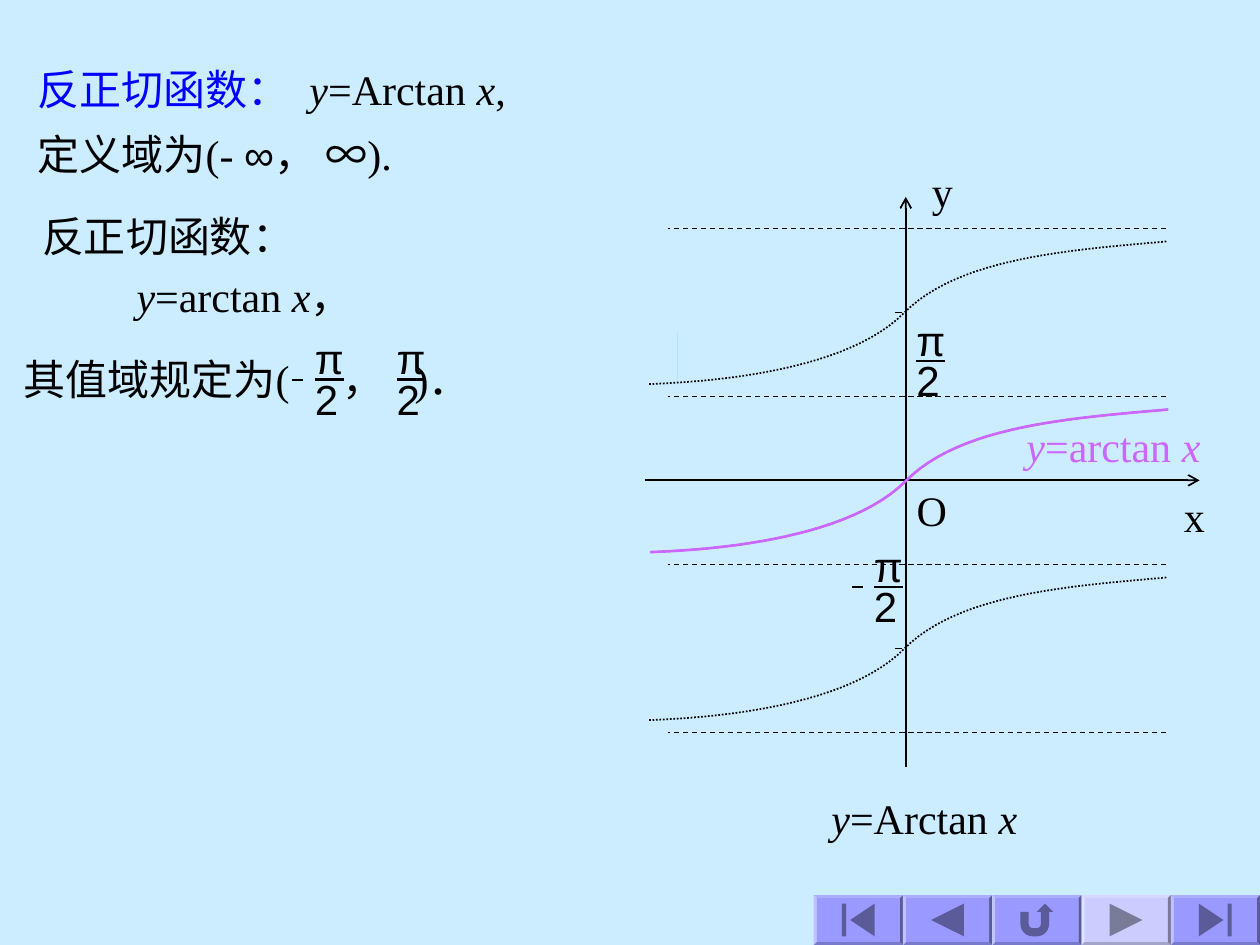
from dataclasses import dataclass

from lxml import etree
from pptx import Presentation
from pptx import util as u
from pptx.dml.color import RGBColor
from pptx.enum import dml, shapes, text
from pptx.oxml import ns


@dataclass(frozen=True)
class Theme:
    back: str = "CCECFF"
    ink: str = "000000"
    head: str = "0000FF"
    main: str = "CC66FF"
    mark: str = "99CCFF"
    key: str = "9999FF"
    dim: str = "CCCCFF"
    size: int = 24
    serif: str = "Times New Roman"
    sans: str = "Arial"


T = Theme()
MID_X, MID_Y, HALF = 517.6, 274.5, 48  # origin of the axes, height of pi/2
BEND = [[(667.5, 234), (610.5, 239), (548.5, 243.5), (517.5, 275)],
        [(517.5, 275), (486, 306.5), (415.5, 314), (371.5, 315.5)]]


def rgb(code):
    return RGBColor.from_string(code)


def run(words, ital=False, font=T.serif, color=T.ink, under=False, track=0):
    return words, ital, font, color, under, track


def gap(track):
    """One space, widened by letter spacing in points."""
    return run(" ", track=track)


def maths(name, color=T.ink):
    """Runs for y=name x with italic variables."""
    return [run("y", True, color=color), run(f"={name} ", color=color),
            run("x", True, color=color)]


def para(runs, lead=1.0, left=0):
    return runs, lead, left


def label(slide, x, y, w, h, paras, side=7.2, edge=3.6):
    box = slide.shapes.add_textbox(u.Pt(x), u.Pt(y), u.Pt(w), u.Pt(h))
    frame = box.text_frame
    frame.word_wrap = True
    frame.auto_size = text.MSO_AUTO_SIZE.SHAPE_TO_FIT_TEXT
    frame.margin_left = frame.margin_right = u.Pt(side)
    frame.margin_top = frame.margin_bottom = u.Pt(edge)
    for i, (runs, lead, left) in enumerate(paras):
        p = frame.add_paragraph() if i else frame.paragraphs[0]
        props = p._p.get_or_add_pPr()
        props.set("marL", str(u.Pt(left)))
        props.set("indent", "0")
        p.line_spacing = lead
        for words, ital, font, color, under, track in runs:
            r = p.add_run()
            r.text = words
            r.font.size = u.Pt(T.size)
            r.font.name = font
            r.font.italic = ital
            r.font.underline = under
            r.font.color.rgb = rgb(color)
            if track:
                r._r.get_or_add_rPr().set("spc", str(track * 100))


def line(slide, x1, y1, x2, y2, width=0.75, dash=None, arrow=False):
    bar = slide.shapes.add_connector(
        shapes.MSO_CONNECTOR.STRAIGHT, u.Pt(x1), u.Pt(y1), u.Pt(x2), u.Pt(y2))
    bar.line.color.rgb = rgb(T.ink)
    bar.line.width = u.Pt(width)
    if dash:
        bar.line.dash_style = dash
    if arrow:
        etree.SubElement(bar.line._get_or_add_ln(), ns.qn("a:tailEnd"),
                         type="arrow")
    etree.SubElement(bar._element.spPr, ns.qn("a:effectLst"))


def block(slide, kind, x, y, w, h, color):
    form = slide.shapes.add_shape(kind, u.Pt(x), u.Pt(y), u.Pt(w), u.Pt(h))
    form.shadow.inherit = False
    form.fill.solid()
    form.fill.fore_color.rgb = rgb(color)
    form.line.fill.background()
    return form


def point(ends, t):
    """Point at t on a cubic curve."""
    s = 1 - t
    parts = (s ** 3, 3 * s * s * t, 3 * s * t * t, t ** 3)
    return [sum(k * end[axis] for k, end in zip(parts, ends))
            for axis in (0, 1)]


def curve(slide, dx, dy, color, width=1.5, dash=None, steps=24):
    dots = [point(ends, i / steps) for ends in BEND for i in range(steps + 1)]
    spots = [(u.Pt(x + dx), u.Pt(y + dy)) for x, y in dots]
    pen = slide.shapes.build_freeform(*spots[0], scale=1.0)
    pen.add_line_segments(spots[1:], close=False)
    form = pen.convert_to_shape()
    form.shadow.inherit = False
    form.fill.background()
    form.line.color.rgb = rgb(color)
    form.line.width = u.Pt(width)
    if dash:
        form.line.dash_style = dash


def half_pi(slide, x, y, minus=None):
    """Fraction pi over 2, with a minus bar starting at x = minus."""
    label(slide, x, y, 38, 53.5, [
        para([run("π", font=T.sans, under=True)], 0.8),
        para([run("2", font=T.sans)], 0.8)])
    if minus is not None:
        line(slide, minus, y + 24.7, minus + 6, y + 24.7, 1)


def graph(slide):
    for k in (-3, -1, 1, 3):
        y = MID_Y + k * HALF
        line(slide, 666.5, y, 381.5, y, dash=dml.MSO_LINE.DASH)
    for k, dx in ((0, 0), (2, -1), (-2, -1)):
        curve(slide, dx, k * HALF, T.ink, 1, dml.MSO_LINE.ROUND_DOT)
    for k in range(-3, 4):
        x = MID_X if k % 2 else MID_X - 2
        line(slide, x, MID_Y + k * HALF, x - 4, MID_Y + k * HALF)
    line(slide, MID_X, 438.5, MID_X, 112.5, 1, arrow=True)
    line(slide, 368.5, MID_Y, 685.5, MID_Y, 1, arrow=True)
    for name, x, y, w, h, lead in (("O", 516.7, 273.3, 34, 36, 1.0),
                                   ("x", 669.5, 291.5, 28, 18.5, 0.4),
                                   ("y", 525.5, 106, 28, 18.5, 0.4)):
        label(slide, x, y, w, h, [para([run(name)], lead)])
    half_pi(slide, 492.2, 310.7, minus=487)
    half_pi(slide, 516.5, 181.7)
    label(slide, 468, 446.5, 135, 39, [para(maths("Arctan"), 1.1)])
    label(slide, 579.5, 233.8, 125, 39, [para(maths("arctan", T.main), 1.1)])
    curve(slide, 0, 0, T.main)


def notes(slide):
    label(slide, 24, 110.7, 315, 76.5, [
        para([run("反正切函数：")], 1.2),
        para(maths("arctan") + [run("，")], 1.2, left=54)], side=0)
    label(slide, 21.5, 24, 310, 82, [
        para([run("反正切函数：", color=T.head), gap(6)] + maths("Arctan")
             + [run(",")], 1.3),
        para([run("定义域为(- "), run("∞", font=T.sans), run("， "),
              run("∞", font=T.sans), run(").")], 1.3)], side=0)
    half_pi(slide, 172.8, 192.3, minus=167)
    half_pi(slide, 219.5, 192.3)
    label(slide, 13.5, 201.7, 310, 29,
          [para([run("其值域规定为("), gap(24), run("，"), gap(12),
                 run(")．")])], side=0, edge=0)


def keys(slide):
    kind = shapes.MSO_SHAPE
    row = [kind.ACTION_BUTTON_BEGINNING, kind.ACTION_BUTTON_BACK_OR_PREVIOUS,
           kind.ACTION_BUTTON_RETURN, kind.ACTION_BUTTON_FORWARD_OR_NEXT,
           kind.ACTION_BUTTON_END]
    wide, high, rim = 51, 28.5, 1.8
    for i, form in enumerate(row):
        color = T.dim if i == 3 else T.key
        x, y = 465 + wide * i, 540 - high
        edge = block(slide, kind.BEVEL, x, y, wide, high, color)
        edge.adjustments[0] = rim / high
        block(slide, form, x + rim, y + rim, wide - 2 * rim, high - 2 * rim,
              color)


def main():
    deck = Presentation()
    deck.slide_width, deck.slide_height = u.Pt(720), u.Pt(540)
    slide = deck.slides.add_slide(deck.slide_layouts[6])
    slide.background.fill.solid()
    slide.background.fill.fore_color.rgb = rgb(T.back)
    block(slide, shapes.MSO_SHAPE.RECTANGLE, 387, 189.5, 0, 29, T.mark)
    notes(slide)
    graph(slide)
    keys(slide)
    deck.save("out.pptx")


if __name__ == "__main__":
    main()
